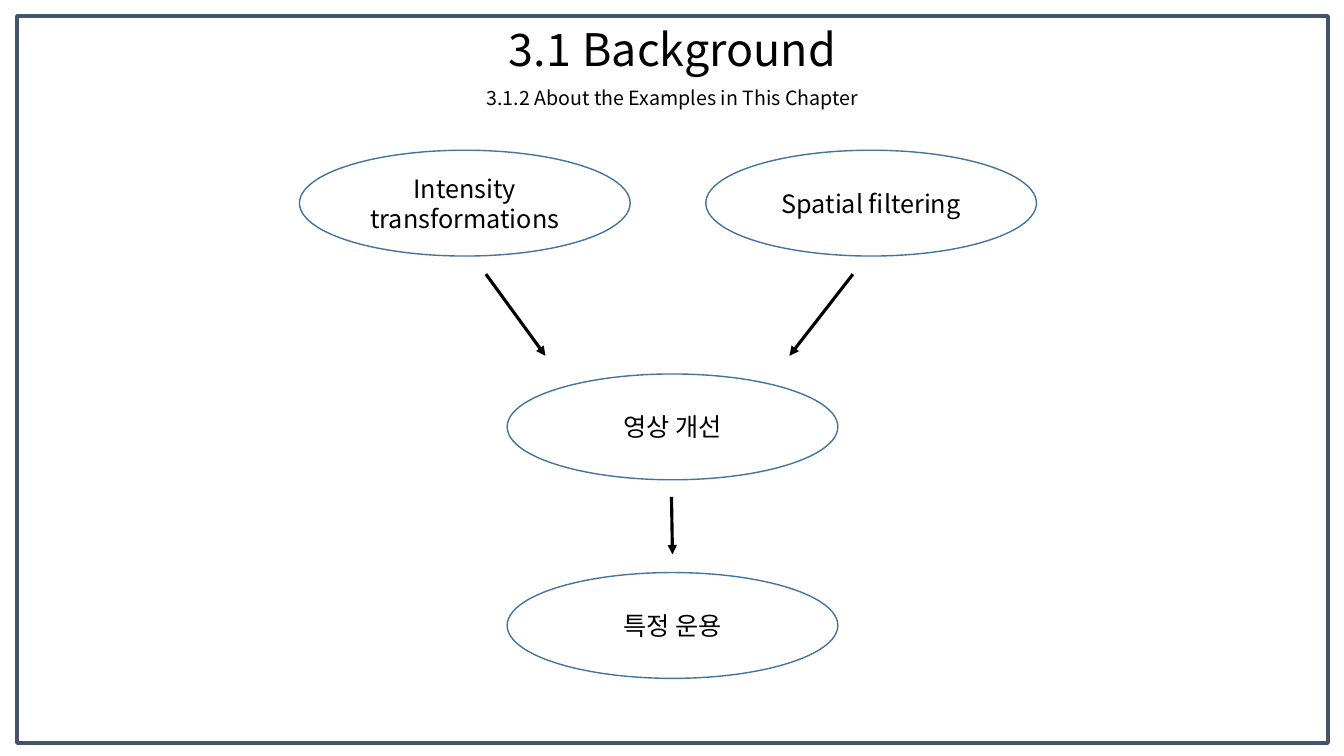
import dataclasses

import pptx
import pptx.dml.color
import pptx.enum.shapes
import pptx.enum.text
import pptx.oxml
import pptx.oxml.ns
import pptx.util
from pptx.util import Inches

RGBColor = pptx.dml.color.RGBColor
BLACK = RGBColor(0x00, 0x00, 0x00)
WHITE = RGBColor(0xFF, 0xFF, 0xFF)
FRAME_BLUE = RGBColor(0x44, 0x54, 0x6A)
OVAL_BLUE = RGBColor(0x43, 0x73, 0x9E)
FONT = "Noto Sans CJK KR"
OVAL_W, OVAL_H = 3.28, 1.05
A_NS = pptx.oxml.ns.nsdecls("a")
SHAPES = pptx.enum.shapes.MSO_SHAPE


@dataclasses.dataclass
class Step:
    text: str
    left: float
    top: float


@dataclasses.dataclass
class Arrow:
    x1: float
    y1: float
    x2: float
    y2: float


STEPS = [
    Step("Intensity transformations", 2.97, 1.49),
    Step("Spatial filtering", 7, 1.49),
    Step("영상 개선", 5.03, 3.71),
    Step("특정 운용", 5.03, 5.68),
]
ARROWS = [
    Arrow(4.82, 2.72, 5.41, 3.53),
    Arrow(8.46, 2.72, 7.83, 3.53),
    Arrow(6.66, 4.93, 6.67, 5.5),
]


def add_text(tf, text: str, *, size: float, color: RGBColor = BLACK,
             anchor=pptx.enum.text.MSO_ANCHOR.MIDDLE) -> None:
    """Append a centred run to the first paragraph of a text frame."""
    tf.word_wrap = True
    tf.vertical_anchor = anchor
    p = tf.paragraphs[0]
    p.alignment = pptx.enum.text.PP_ALIGN.CENTER
    r = p.add_run()
    r.text = text
    r.font.size = pptx.util.Pt(size)
    r.font.name = FONT
    r.font.color.rgb = color
    r.font._element.append(pptx.oxml.parse_xml(f'<a:ea {A_NS} typeface="{FONT}"/>'))


def add_outline(s, kind, left: float, top: float, width: float, height: float,
                color: RGBColor, weight: float):
    sp = s.shapes.add_shape(kind, Inches(left), Inches(top), Inches(width), Inches(height))
    sp.shadow.inherit = False
    sp.line.color.rgb = color
    sp.line.width = pptx.util.Pt(weight)
    return sp


def add_step(s, step: Step) -> None:
    sp = add_outline(s, SHAPES.OVAL, step.left, step.top, OVAL_W, OVAL_H, OVAL_BLUE, 1)
    sp.fill.solid()
    sp.fill.fore_color.rgb = WHITE
    add_text(sp.text_frame, step.text, size=18)


def add_arrow(s, arrow: Arrow) -> None:
    cxn = s.shapes.add_connector(
        pptx.enum.shapes.MSO_CONNECTOR.STRAIGHT,
        Inches(arrow.x1), Inches(arrow.y1), Inches(arrow.x2), Inches(arrow.y2))
    cxn.line.color.rgb = BLACK
    cxn.line.width = pptx.util.Pt(2.25)
    cxn.line._get_or_add_ln().append(
        pptx.oxml.parse_xml(f'<a:tailEnd {A_NS} type="triangle"/>'))
    cxn._element.spPr.append(pptx.oxml.parse_xml(f"<a:effectLst {A_NS}/>"))


def main() -> None:
    prs = pptx.Presentation()
    prs.slide_width, prs.slide_height = Inches(13.33), Inches(7.5)
    s = prs.slides.add_slide(prs.slide_layouts[5])

    # Title
    title = s.shapes.title
    title.left, title.top = Inches(1.67), Inches(0.14)
    title.width, title.height = Inches(10), Inches(0.71)
    for text, size in (("3.1", 32), (" ", 36), ("Background", 32)):
        add_text(title.text_frame, text, size=size)
    title.text_frame.paragraphs[0].line_spacing = 0.9

    # Frame around the slide
    add_outline(s, SHAPES.RECTANGLE, 0.17, 0.16, 13, 7.21, FRAME_BLUE, 3).fill.background()

    # Subtitle
    subtitle = s.shapes.add_textbox(Inches(3.06), Inches(0.8), Inches(7.22), Inches(0.34))
    add_text(subtitle.text_frame, "3.1.2 About the Examples in This Chapter", size=14,
             anchor=pptx.enum.text.MSO_ANCHOR.TOP)
    subtitle.text_frame.auto_size = pptx.enum.text.MSO_AUTO_SIZE.SHAPE_TO_FIT_TEXT

    # Flow of steps
    for step in STEPS:
        add_step(s, step)
    for arrow in ARROWS:
        add_arrow(s, arrow)

    prs.save("out.pptx")


if __name__ == "__main__":
    main()
